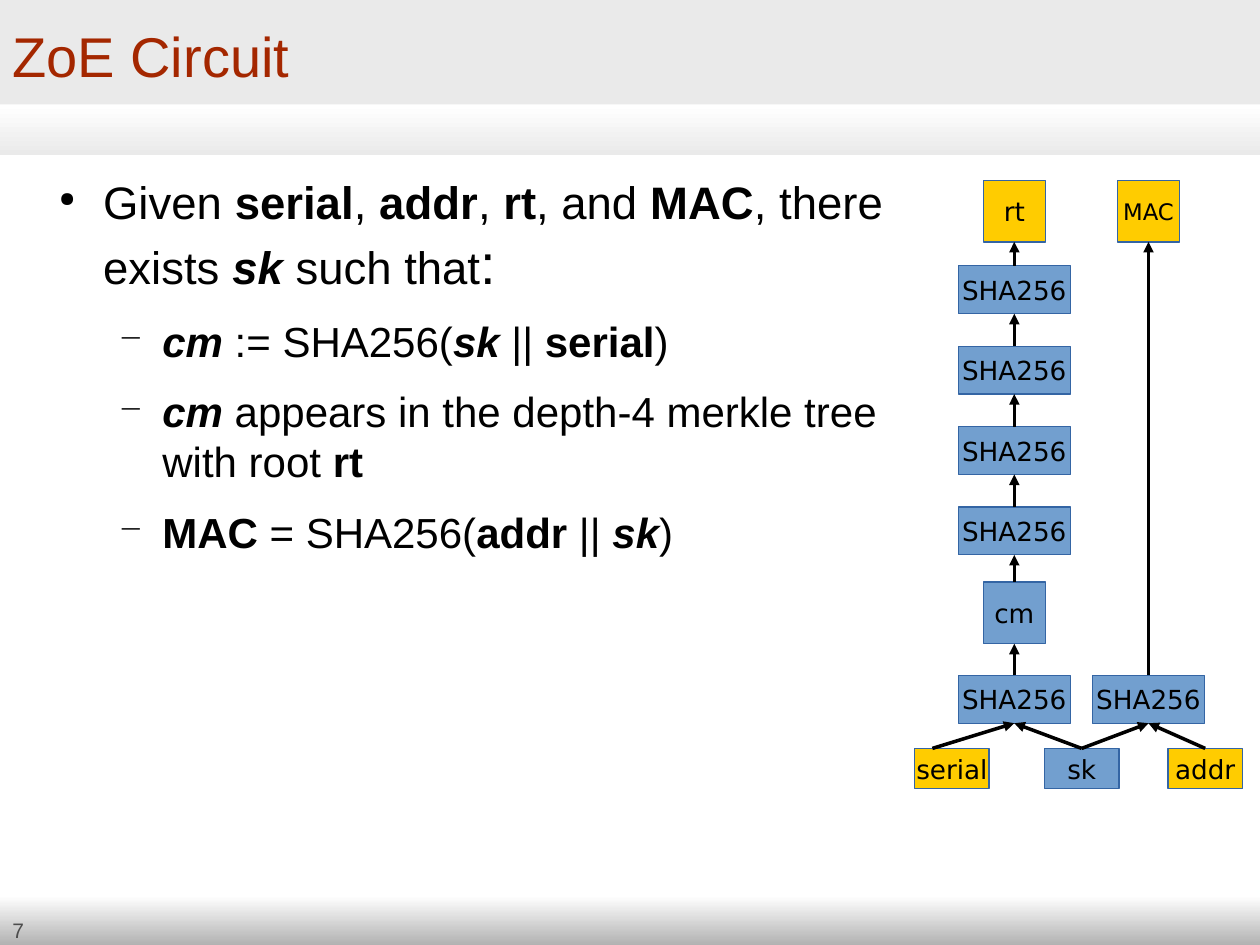
"""Build the ZoE Circuit slide: the statement on the left, its hash circuit on the right."""
from lxml import etree
from pptx import Presentation, util as u
from pptx.dml.color import RGBColor
from pptx.enum import shapes, text
from pptx.oxml.ns import qn

COLORS = {
    "band": "EAEAEA", "footer": "B2B2B2", "white": "FFFFFF", "title": "A42700",
    "number": "4D4D4D", "ink": "000000", "public": "FFCC00", "private": "729FCF",
    "edge": "3465A4",
}
RGB = {name: RGBColor.from_string(value) for name, value in COLORS.items()}

deck = Presentation()
deck.slide_width, deck.slide_height = u.Inches(10), u.Inches(7.5)
COL, ROW = deck.slide_width / 100, deck.slide_height / 75
slide = deck.slides.add_slide(deck.slide_layouts[6])


def place(col, row, cols, rows):
    return [round(n) for n in (col * COL, row * ROW, cols * COL, rows * ROW)]


def add_run(paragraph, words, size, color, font="Arial", style=""):
    run = paragraph.add_run()
    run.text = words
    run.font.name, run.font.size = font, u.Pt(size)
    run.font.bold, run.font.italic = "b" in style, "i" in style
    run.font.color.rgb = RGB[color]


for top, height, shades in [
    (0, 8.3, ["band"]), (71.1, 3.9, ["white", "footer"]), (8.3, 4, ["white", "band"]),
]:
    band = slide.shapes.add_shape(shapes.MSO_SHAPE.RECTANGLE, *place(0, top, 100, height))
    band.shadow.inherit = False
    band.line.fill.background()
    if len(shades) == 1:
        band.fill.solid()
        band.fill.fore_color.rgb = RGB[shades[0]]
    else:
        band.fill.gradient()
        band.fill.gradient_angle = 270
        for stop, shade in zip(band.fill.gradient_stops, shades):
            stop.color.rgb = RGB[shade]

number = slide.shapes.add_textbox(*place(0, 72.3, 9.5, 3)).text_frame
number.word_wrap = True
number.paragraphs[0].space_before = u.Pt(6)
add_run(number.paragraphs[0], "7", 12, "number")

title = slide.shapes.add_textbox(*place(0, 0.2, 100, 9.2)).text_frame
title.word_wrap = True
title.vertical_anchor = text.MSO_ANCHOR.MIDDLE
title.paragraphs[0].line_spacing = 0.85
add_run(title.paragraphs[0], "ZoE Circuit", 32, "title")

statement = [
    (0, [("Given ", ""), ("serial", "b"), (", ", ""), ("addr", "b"), (", ", ""),
         ("rt", "b"), (", and ", ""), ("MAC", "b"), (", there exists ", ""),
         ("sk ", "bi"), ("such that", ""), (":", "")]),
    (1, [("cm", "bi"), (" := SHA256(", ""), ("sk", "bi"), (" || ", ""),
         ("serial", "b"), (")", "")]),
    (1, [("cm", "bi"), (" appears in the depth-4 merkle tree with root ", ""), ("rt", "b")]),
    (1, [("MAC", "b"), (" = SHA256(", ""), ("addr", "b"), (" || ", ""),
         ("sk", "bi"), (")", "")]),
]
levels = [(26, 14.2, "●", 45), (24, 11.3, "−", 75)]
body = slide.shapes.add_textbox(*place(2.5, 13.3, 71.5, 55)).text_frame
body.word_wrap = True
for index, (level, pieces) in enumerate(statement):
    size, gap, mark, mark_size = levels[level]
    claim = body.add_paragraph() if index else body.paragraphs[0]
    claim.level = level
    claim.space_before = u.Pt(gap)
    props = claim._p.get_or_add_pPr()
    props.set("marL", str(round((level + 1) * 4.7 * COL)))
    props.set("indent", str(round(-3.5 * COL)))
    bullet_color = etree.SubElement(props, qn("a:buClr"))
    etree.SubElement(bullet_color, qn("a:srgbClr"), val=COLORS["ink"])
    etree.SubElement(props, qn("a:buSzPct"), val=str(mark_size * 1000))
    etree.SubElement(props, qn("a:buChar"), char=mark)
    for words, style in pieces:
        add_run(claim, words, 32 if words == ":" else size, "ink", style=style)

HASH, VALUE, INPUT = (8.9, 3.8), (4.9, 4.9), (5.9, 3.2)
TREE, TAG = 80.5, 91.15
nodes = {
    "serial": ("serial", 75.55, 59.4, INPUT, "public"),
    "addr": ("addr", 95.65, 59.4, INPUT, "public"),
    "sk": ("sk", 85.85, 59.4, INPUT, "private"),
    "commit": ("SHA256", TREE, 53.6, HASH, "private"),
    "cm": ("cm", TREE, 46.2, VALUE, "private"),
    "rt": ("rt", TREE, 14.3, VALUE, "public"),
    "MAC": ("MAC", TAG, 14.3, VALUE, "public"),
    "sign": ("SHA256", TAG, 53.6, HASH, "private"),
}
for depth in range(4):
    nodes[f"depth{depth}"] = ("SHA256", TREE, 21.1 + 6.38 * depth, HASH, "private")

boxes = {}
for key, (label, center, top, (cols, rows), role) in nodes.items():
    box = slide.shapes.add_shape(
        shapes.MSO_SHAPE.RECTANGLE, *place(center - cols / 2, top, cols, rows))
    box.shadow.inherit = False
    box.fill.solid()
    box.fill.fore_color.rgb = RGB[role]
    box.line.color.rgb = RGB["edge"]
    box.line.width = 0
    box.text_frame.word_wrap = False
    box.text_frame.vertical_anchor = text.MSO_ANCHOR.MIDDLE
    caption = box.text_frame.paragraphs[0]
    caption.alignment = text.PP_ALIGN.CENTER
    add_run(caption, label, 13 if label == "MAC" else 15, "ink", "DejaVu Sans")
    boxes[key] = box

chain = ["commit", "cm", "depth3", "depth2", "depth1", "depth0", "rt"]
wires = list(zip(chain, chain[1:])) + [
    ("serial", "commit"), ("sk", "commit"), ("sign", "MAC"), ("sk", "sign"), ("addr", "sign"),
]
for source, target in wires:
    start_col = 74 if source == "serial" else nodes[source][1]
    wire = slide.shapes.add_connector(
        shapes.MSO_CONNECTOR.STRAIGHT, round(start_col * COL), boxes[source].top, 0, 0)
    if source != "serial":
        wire.begin_connect(boxes[source], 0)
    wire.end_connect(boxes[target], 2)
    wire.line.color.rgb = RGB["ink"]
    wire.line.width = 0
    etree.SubElement(wire.line._get_or_add_ln(), qn("a:tailEnd"), type="triangle")
    etree.SubElement(wire._element.spPr, qn("a:effectLst"))

deck.save("out.pptx")
